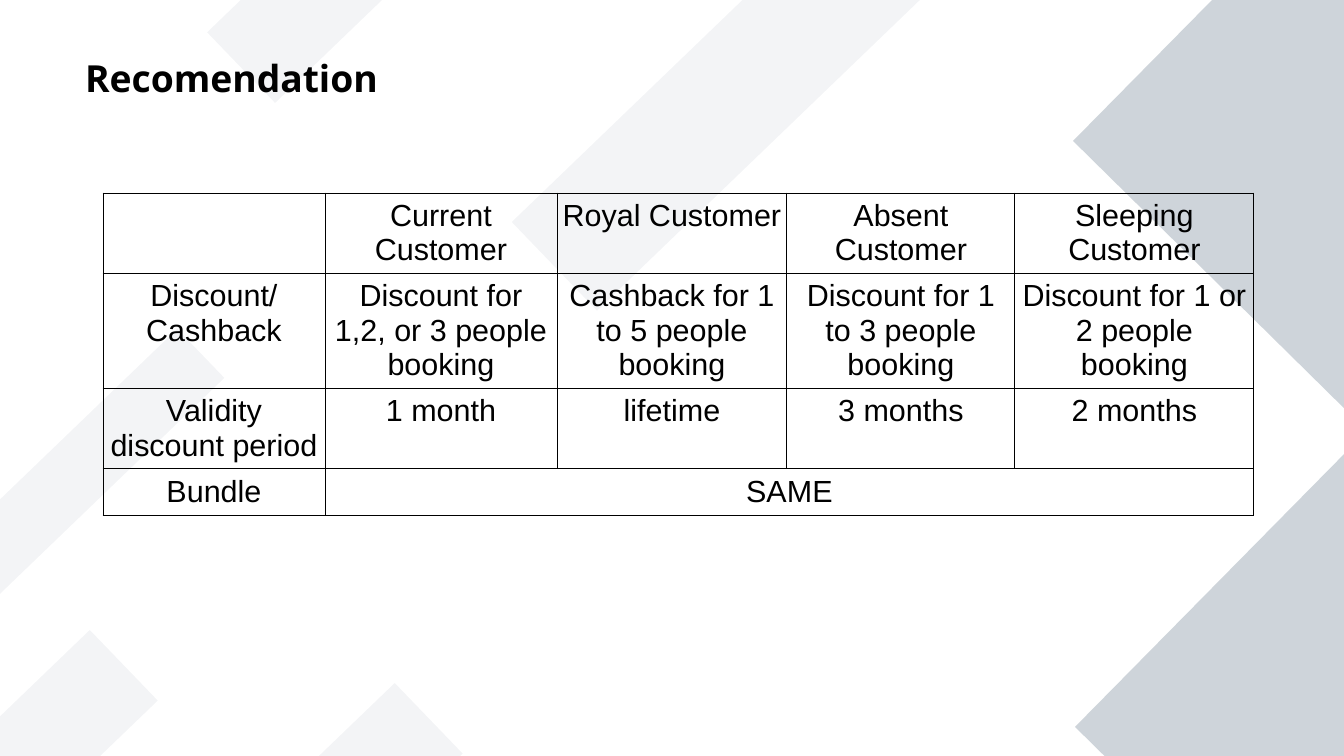
import pptx
import pptx.dml.color
import pptx.enum.shapes
import pptx.enum.text
import pptx.oxml
import pptx.oxml.ns
import pptx.util

SCALE = 7495  # EMU in one px, at 122 px to the inch
BLACK = "000000"
BLOCK_COLOR = "CED4DA"
BAND_COLOR = "8D99AE"

# left, top, width, height, before rotation
BLOCKS = [(1153, -54, 386, 386), (1155, 532, 386, 386)]
BANDS = [
    (132, 789, 345, 98),
    (-173, 736, 345, 98),
    (490, 45, 461, 123),
    (193, -101, 345, 98),
    (-96, 439, 345, 68),
]

COLUMN_WIDTHS = [222, 232, 230, 228, 239]
ROW_HEIGHTS = [80, 115, 80, 47]
ROWS = [
    ["", "Current Customer", "Royal Customer", "Absent Customer", "Sleeping Customer"],
    [
        "Discount/Cashback",
        "Discount for 1,2, or 3 people booking",
        "Cashback for 1 to 5 people booking",
        "Discount for 1 to 3 people booking",
        "Discount for 1 or 2 people booking",
    ],
    ["Validity discount period", "1 month", "lifetime", "3 months", "2 months"],
    ["Bundle", "SAME", "", "", ""],
]


def px(length):
    return pptx.util.Emu(length * SCALE)


def color(value):
    return pptx.dml.color.RGBColor.from_string(value)


def add_span(para, text, font, size, bold=False):
    span = para.add_run()
    span.text = text
    span.font.name = font
    span.font.size = pptx.util.Pt(size)
    span.font.bold = bold
    span.font.color.rgb = color(BLACK)


def add_rotated_box(page, place, angle, fill, opacity=100):
    box = page.shapes.add_shape(
        pptx.enum.shapes.MSO_SHAPE.RECTANGLE, *[px(length) for length in place]
    )
    box.rotation = angle
    box.shadow.inherit = False
    box.line.fill.background()
    box.fill.solid()
    box.fill.fore_color.rgb = color(fill)
    if opacity < 100:
        tint = box.element.spPr.find(".//" + pptx.oxml.ns.qn("a:srgbClr"))
        tint.append(pptx.oxml.parse_xml(
            f'<a:alpha {pptx.oxml.ns.nsdecls("a")} val="{opacity * 1000}"/>'
        ))


def set_title(page, text):
    title = page.shapes.title
    title.left, title.top, title.width, title.height = px(73), px(49), px(476), px(62)
    # Bring the title in front of the background shapes
    title.element.getparent().append(title.element)
    frame = title.text_frame
    frame.word_wrap = True
    frame.auto_size = pptx.enum.text.MSO_AUTO_SIZE.NONE
    frame.vertical_anchor = pptx.enum.text.MSO_ANCHOR.TOP
    para = frame.paragraphs[0]
    para.alignment = pptx.enum.text.PP_ALIGN.LEFT
    para.line_spacing = 1.0
    para.space_before = pptx.util.Pt(0)
    add_span(para, text, "Noto Sans", 22, bold=True)


def set_borders(cell):
    properties = cell._tc.get_or_add_tcPr()
    for index, side in enumerate(["lnL", "lnR", "lnT", "lnB"]):
        properties.insert(index, pptx.oxml.parse_xml(
            f'<a:{side} {pptx.oxml.ns.nsdecls("a")} w="{pptx.util.Pt(0.57)}">'
            f'<a:solidFill><a:srgbClr val="{BLACK}"/></a:solidFill></a:{side}>'
        ))


def fill_cell(cell, text):
    cell.fill.background()
    set_borders(cell)
    cell.margin_left = cell.margin_right = px(5)
    cell.margin_top = cell.margin_bottom = px(6)
    para = cell.text_frame.paragraphs[0]
    para.alignment = pptx.enum.text.PP_ALIGN.CENTER
    if text:
        add_span(para, text, "Arial", 18)


def add_customer_table(page):
    table = page.shapes.add_table(
        len(ROWS), len(COLUMN_WIDTHS), px(103), px(193),
        px(sum(COLUMN_WIDTHS)), px(sum(ROW_HEIGHTS)),
    ).table
    table.first_row = False
    table.horz_banding = False
    for column, width in zip(table.columns, COLUMN_WIDTHS):
        column.width = px(width)
    for row, height, texts in zip(table.rows, ROW_HEIGHTS, ROWS):
        row.height = px(height)
        for cell, text in zip(row.cells, texts):
            fill_cell(cell, text)
    # The bundle is the same for every customer
    table.cell(3, 1).merge(table.cell(3, 4))


def main():
    deck = pptx.Presentation()
    deck.slide_width, deck.slide_height = px(1344), px(756)
    page = deck.slides.add_slide(deck.slide_layouts.get_by_name("Title Only"))

    # Background
    for place in BLOCKS:
        add_rotated_box(page, place, 314.6, BLOCK_COLOR)
    for place in BANDS:
        add_rotated_box(page, place, 316.1, BAND_COLOR, opacity=10)

    # Content
    set_title(page, "Recomendation")
    add_customer_table(page)
    deck.save("out.pptx")


if __name__ == "__main__":
    main()
